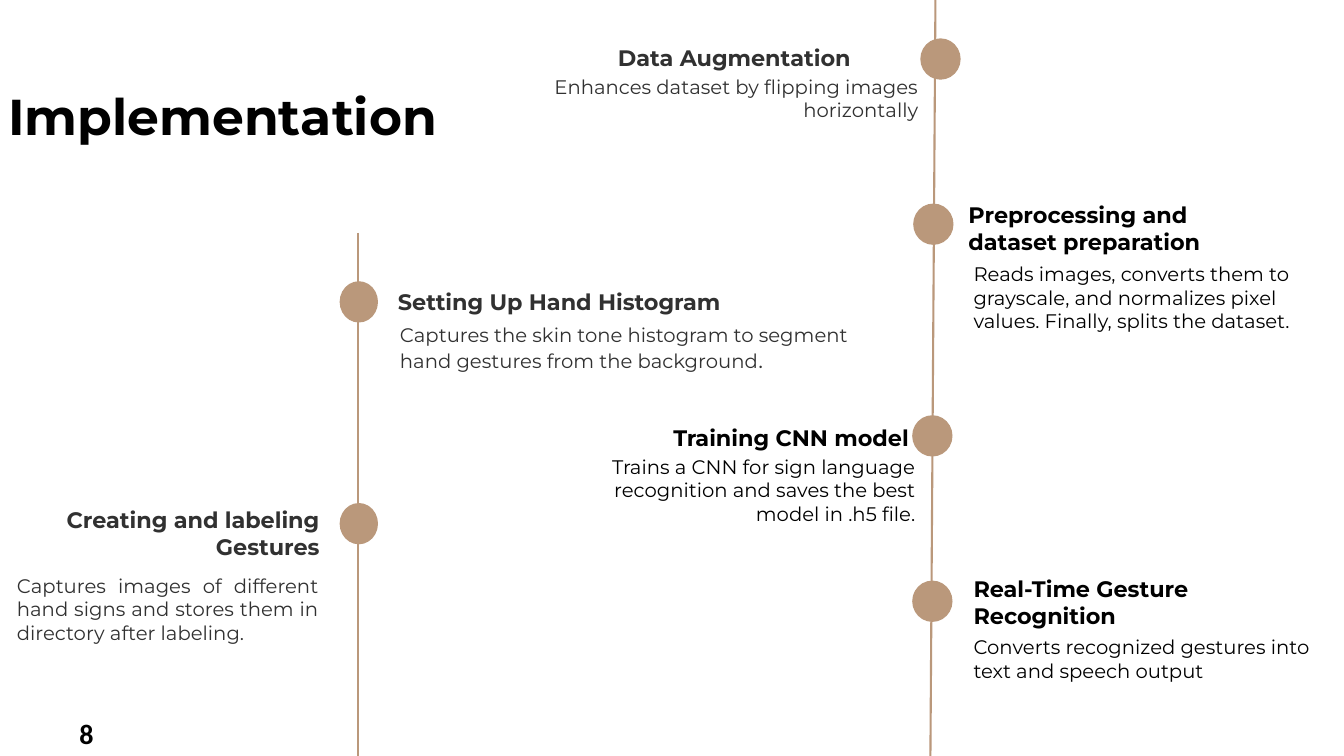
from lxml import etree
from pptx import Presentation
from pptx import util as u
from pptx.dml.color import RGBColor
from pptx.enum import shapes, text
from pptx.oxml.ns import qn

COLORS = {"accent": "BA987B", "gray": "313131", "black": "000000"}
LEFT, RIGHT, JUSTIFY = text.PP_ALIGN.LEFT, text.PP_ALIGN.RIGHT, text.PP_ALIGN.JUSTIFY

# Each step: dot (left, top, width), heading and body as (text, box, alignment), colour
STEPS = [
    ((242.6, 200.9, 27.4),
     ("Setting Up Hand Histogram", (277.2, 202.3, 311, 26.6), LEFT),
     ("Captures the skin tone histogram to segment hand gestures from the background",
      (278.6, 226.8, 365.8, 43.9), LEFT), "gray"),
    ((242.6, 359.3, 27.4),
     ("Creating and labeling Gestures", (-25.2, 357.8, 260.6, 46), RIGHT),
     ("Captures images of different hand signs and stores them in directory after labeling.",
      (5, 406.1, 229.7, 58.3), JUSTIFY), "gray"),
    ((657.4, 27.4, 28.8),
     ("Data Augmentation", (434.2, 28.1, 280.1, 51.1), LEFT),
     ("Enhances dataset by flipping images horizontally",
      (332.6, 49.7, 330.5, 41), RIGHT), "gray"),
    ((652.3, 145.4, 28.8),
     ("Preprocessing and dataset preparation", (684.7, 140.4, 235.4, 46), LEFT),
     ("Reads images, converts them to grayscale, and normalizes pixel values. "
      "Finally, splits the dataset.", (688.3, 183.6, 275, 58.3), LEFT), "black"),
    ((651.6, 296.6, 28.8),
     ("Training CNN model", (473.8, 299.5, 272.2, 65.5), LEFT),
     ("Trains a CNN for sign language recognition and saves the best model in .h5 file.",
      (427, 321.1, 234, 58.3), RIGHT), "black"),
    ((651.6, 414.7, 28.8),
     ("Real-Time Gesture Recognition", (688.3, 407.5, 235.4, 65.5), LEFT),
     ("Converts recognized gestures into text and speech output",
      (688.3, 450, 259.2, 41), LEFT), "black"),
]


def rgb(name):
    return RGBColor.from_string(COLORS[name])


class Deck:
    font = "Montserrat"
    dot_height = 29.5

    def __init__(self, width, height):
        self.prs = Presentation()
        self.prs.slide_width, self.prs.slide_height = u.Pt(width), u.Pt(height)
        self.s = self.prs.slides.add_slide(self.prs.slide_layouts[5])

    def add_run(self, p, words, size, color="black", bold=False, font=None):
        r = p.add_run()
        r.text = words
        r.font.name, r.font.size, r.font.bold = font or self.font, u.Pt(size), bold
        r.font.color.rgb = rgb(color)

    def fill_text(self, sp, words, align=LEFT, **style):
        tf = sp.text_frame
        tf.word_wrap = True
        tf.auto_size = text.MSO_AUTO_SIZE.NONE
        tf.vertical_anchor = text.MSO_ANCHOR.TOP
        tf.margin_left = tf.margin_right = u.Pt(7.2)
        tf.margin_top = tf.margin_bottom = u.Pt(3.6)
        p = tf.paragraphs[0]
        p.alignment = align
        self.add_run(p, words, **style)
        return p

    def title(self, words, box, **style):
        sp = self.s.shapes.title
        sp.left, sp.top, sp.width, sp.height = map(u.Pt, box)
        self.fill_text(sp, words, **style)

    def label(self, words, box, align=LEFT, parent=None, **style):
        sp = (parent or self.s).shapes.add_textbox(*map(u.Pt, box))
        return self.fill_text(sp, words, align, **style)

    def dot(self, left, top, width, parent):
        sp = parent.shapes.add_shape(shapes.MSO_SHAPE.FLOWCHART_CONNECTOR,
                                     *map(u.Pt, (left, top, width, self.dot_height)))
        sp.shadow.inherit = False
        sp.fill.solid()
        sp.fill.fore_color.rgb = rgb("accent")
        sp.line.fill.background()

    def line(self, *ends):
        c = self.s.shapes.add_connector(shapes.MSO_CONNECTOR.STRAIGHT, *map(u.Pt, ends))
        c.line.color.rgb = rgb("accent")
        c.line.width = u.Pt(1.5)
        etree.SubElement(c._element.spPr, qn("a:effectLst"))

    def step(self, dot, heading, body, color):
        """Add a grouped timeline step and return its body paragraph."""
        group = self.s.shapes.add_group_shape()
        self.dot(*dot, parent=group)
        self.label(*heading, parent=group, size=16, color=color, bold=True)
        return self.label(*body, parent=group, size=14, color=color)


def main():
    deck = Deck(960, 540)
    deck.title("Implementation", (-1.4, 56.9, 383.8, 51.1), size=36, bold=True)
    deck.line(255.6, 166.3, 255.6, 540)
    deck.line(668.2, 0, 664.6, 540.7)
    bodies = [deck.step(*step) for step in STEPS]
    deck.add_run(bodies[0], ".", size=16, color="gray")
    deck.label("8", (49.7, 508.3, 37.4, 31.7), size=20, bold=True, font="Calibri")
    deck.prs.save("out.pptx")


if __name__ == "__main__":
    main()
